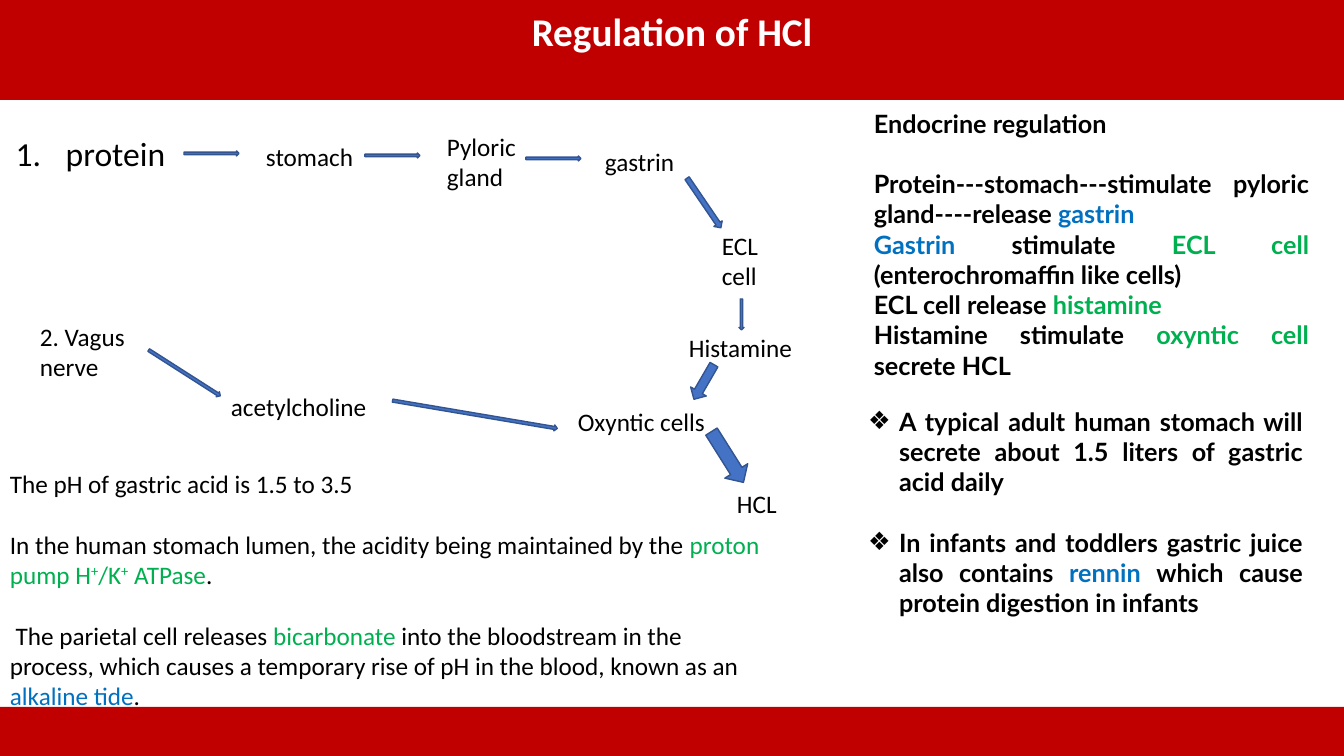
"""Build the slide on the regulation of gastric HCl."""
from lxml import etree
from pptx import Presentation
from pptx.dml.color import RGBColor
from pptx.enum.shapes import MSO_SHAPE
from pptx.enum.text import MSO_ANCHOR, MSO_AUTO_SIZE, PP_ALIGN
from pptx.oxml.ns import qn
from pptx.util import Emu, Pt

RECT = MSO_SHAPE.RECTANGLE
RIGHT = MSO_SHAPE.RIGHT_ARROW
DOWN = MSO_SHAPE.DOWN_ARROW
TOP = MSO_ANCHOR.TOP
FIXED = MSO_AUTO_SIZE.NONE
LEFT, MID, EVEN = PP_ALIGN.LEFT, PP_ALIGN.CENTER, PP_ALIGN.JUSTIFY

RED = RGBColor(0xC0, 0x00, 0x00)
WHITE = RGBColor(0xFF, 0xFF, 0xFF)
BLACK = RGBColor(0x00, 0x00, 0x00)
BLUE = RGBColor(0x00, 0x70, 0xC0)
GREEN = RGBColor(0x00, 0xB0, 0x50)
FILL = RGBColor(0x44, 0x72, 0xC4)
EDGE = RGBColor(0x32, 0x54, 0x91)


def px(*vals):
    """Turn px into a list of EMU."""
    return [Emu(round(val * 914400 / 100.8)) for val in vals]


def write(shape, paras, name="Calibri", size=18, bold=False, align=LEFT,
          bullet=None, indent=0, color=BLACK):
    """Fill a shape with paragraphs of (gap, runs)."""
    frame = shape.text_frame
    frame.word_wrap = True
    frame.auto_size = FIXED
    frame.vertical_anchor = TOP
    for num, (gap, runs) in enumerate(paras):
        para = frame.paragraphs[0] if num == 0 else frame.add_paragraph()
        para.alignment = align
        para.line_spacing = 1.0
        para.space_before = Pt(gap)
        if bullet:
            props = para._p.get_or_add_pPr()
            step = px(indent)[0]
            props.set("marL", str(step))
            props.set("indent", str(-step))
            tag, key, mark = bullet
            etree.SubElement(props, qn(tag)).set(key, mark)
        font = para.font
        font.name, font.size, font.bold = name, Pt(size), bold
        font.color.rgb = color
        for text, tint, *raised in runs:
            run = para.add_run()
            run.text = text
            if tint != color:
                run.font.color.rgb = tint
            if raised:
                run.font._element.set("baseline", "30000")


deck = Presentation()
deck.slide_width, deck.slide_height = px(1344, 756)
slide = deck.slides.add_slide(deck.slide_layouts[1])
shapes = slide.shapes

title = shapes.title
title.left, title.top, title.width, title.height = px(0, 0, 1344, 100)
title.fill.solid()
title.fill.fore_color.rgb = RED
write(title, [(0, [("Regulation of HCl", WHITE)])], size=28, bold=True,
      align=MID, color=WHITE)
title.text_frame.margin_top = px(7)[0]

foot = shapes.add_shape(RECT, *px(0, 707, 1344, 49))
foot.shadow.inherit = False
foot.fill.solid()
foot.fill.fore_color.rgb = RED
foot.line.fill.background()

steps = [
    ("stomach", 256, 136, 119, 40),
    ("Pyloric gland", 437, 126, 119, 71),
    ("gastrin", 595, 141, 96, 40),
    ("ECL cell", 712, 225, 65, 71),
    ("Histamine", 679, 327, 151, 40),
    ("Oxyntic cells", 568, 401, 173, 40),
    ("HCL", 727, 483, 76, 40),
    ("2. Vagus nerve", 30, 316, 126, 71),
    ("acetylcholine", 221, 386, 173, 40),
]
for text, *place in steps:
    write(shapes.add_textbox(*px(*place)), [(0, [(text, BLACK)])])

start = shapes.add_textbox(*px(-2, 133, 185, 78))
write(start, [(0, [("protein", BLACK)])], size=24, align=MID,
      bullet=("a:buAutoNum", "type", "arabicPeriod"), indent=50)
start.text_frame.paragraphs[0].line_spacing = 0.9

arrows = [
    (RIGHT, 184, 151, 55, 5, 0),
    (RIGHT, 365, 153, 55, 5, 0),
    (RIGHT, 526, 156, 55, 5, 0),
    (DOWN, 699, 173, 10, 60, 325.7),
    (DOWN, 739, 299, 5, 31, 0),
    (DOWN, 695, 362, 18, 40, 30.1),
    (DOWN, 714, 427, 27, 60, 327.8),
    (RIGHT, 142, 370, 85, 6, 32.6),
    (DOWN, 472, 331, 6, 167, 279.6),
]
for kind, *place, turn in arrows:
    arrow = shapes.add_shape(kind, *px(*place))
    arrow.rotation = turn
    arrow.shadow.inherit = False
    arrow.fill.solid()
    arrow.fill.fore_color.rgb = FILL
    arrow.line.color.rgb = EDGE
    arrow.line.width = Pt(1)

notes = shapes.add_textbox(*px(0, 463, 770, 254))
write(notes, [
    (0, [("The pH of gastric acid is 1.5 to 3.5", BLACK)]),
    (22, [("In the human stomach lumen, the acidity being maintained by the ",
           BLACK),
          ("proton pump H", GREEN), ("+", GREEN, True), ("/K", GREEN),
          ("+", GREEN, True), (" ATPase", GREEN), (".", BLACK)]),
    (22, [(" The parietal cell releases", BLACK), (" bicarbonate ", GREEN),
          ("into the bloodstream in the process, which causes a temporary "
           "rise of pH in the blood, known as an ", BLACK),
          ("alkaline tide", BLUE), (".", BLACK)]),
])

endo = shapes.add_textbox(*px(864, 103, 455, 285))
write(endo, [
    (0, [("Endocrine regulation", BLACK)]),
    (21.6, [("Protein---stomach---stimulate pyloric gland----release ", BLACK),
            ("gastrin", BLUE)]),
    (0, [("Gastrin", BLUE), (" stimulate ", BLACK), ("ECL cell ", GREEN),
         ("(enterochromaffin like cells)", BLACK)]),
    (0, [("ECL cell release ", BLACK), ("histamine", GREEN)]),
    (0, [("Histamine stimulate ", BLACK), ("oxyntic cell ", GREEN),
         ("secrete HCL", BLACK)]),
], name="Lato", bold=True, align=EVEN)

facts = slide.placeholders[1]
facts.left, facts.top, facts.width, facts.height = px(858, 401, 455, 224)
write(facts, [
    (0, [("A typical adult human stomach will secrete about 1.5 liters of "
          "gastric acid daily", BLACK)]),
    (21.6, [("In infants and toddlers gastric juice also contains ", BLACK),
            ("rennin ", BLUE),
            ("which cause protein digestion in infants", BLACK)]),
], name="Lato", bold=True, align=EVEN,
    bullet=("a:buChar", "char", "❖"), indent=31)

deck.save("out.pptx")
